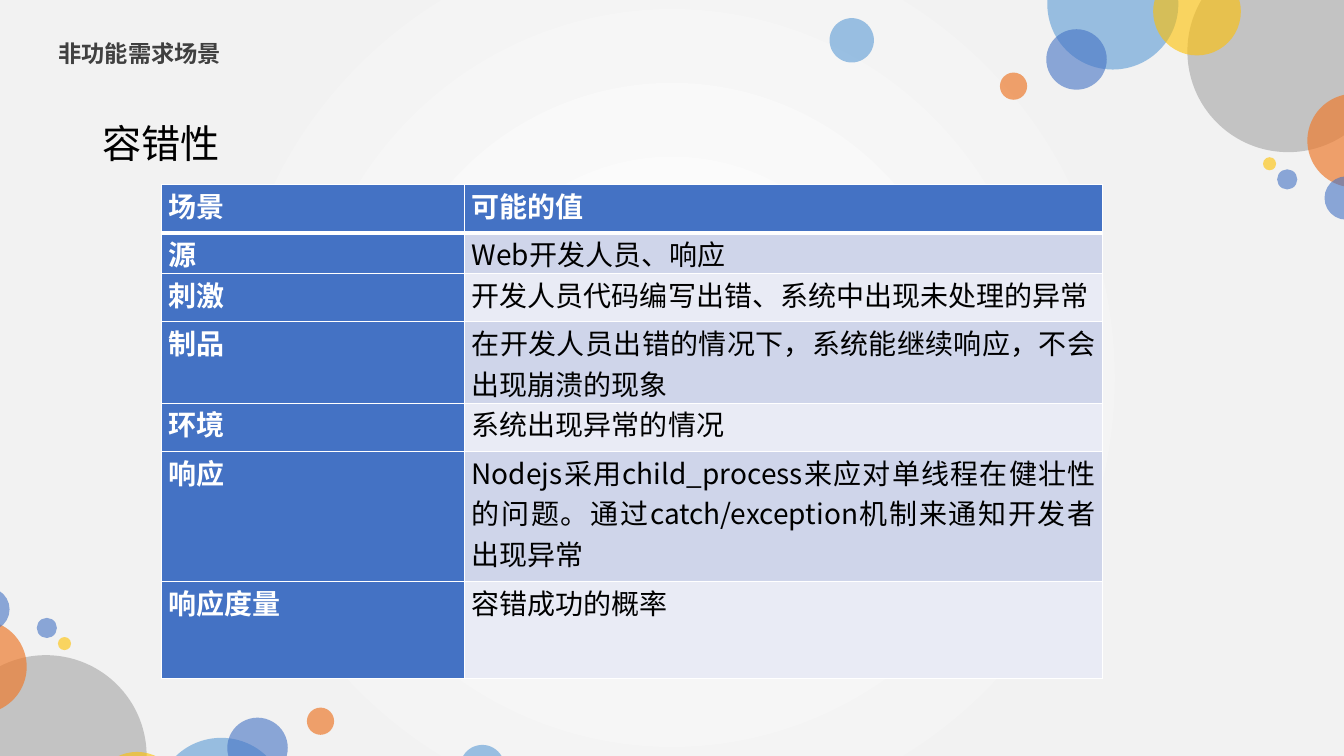
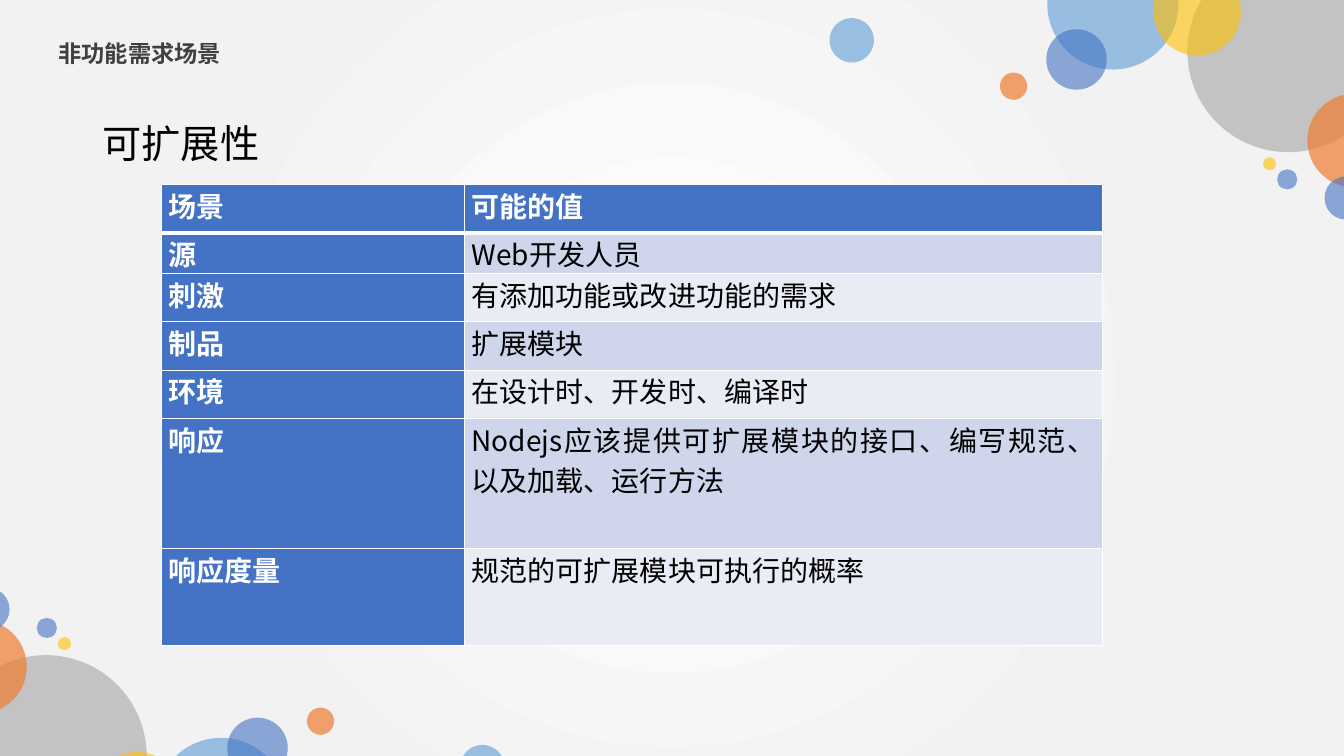
from lxml import etree
from pptx import Presentation
from pptx import util as u
from pptx.dml.color import RGBColor
from pptx.enum import shapes, text
from pptx.oxml import ns

UNIT = u.Inches(0.1)
COLS, ROWS = 133.33, 75
FACE = "Noto Sans CJK SC"

WHITE = RGBColor(0xFF, 0xFF, 0xFF)
BLACK = RGBColor(0, 0, 0)
PALE = RGBColor(0xF2, 0xF2, 0xF2)
DARK = RGBColor(0x40, 0x40, 0x40)
SKY = RGBColor(0x5B, 0x9B, 0xD5)
GRAY = RGBColor(0xA5, 0xA5, 0xA5)
GOLD = RGBColor(0xFF, 0xC0, 0)
BLUE = RGBColor(0x44, 0x72, 0xC4)
RUST = RGBColor(0xED, 0x7D, 0x31)
BANDS = (RGBColor(0xCF, 0xD5, 0xEA), RGBColor(0xE9, 0xEB, 0xF5))

TITLE = {"size": u.Pt(16.6), "bold": True}
TOPIC = {"size": u.Pt(28), "bold": False}
HEAD = {"size": u.Pt(20), "bold": True}
BODY = {"size": u.Pt(20), "bold": False}

BUBBLES = [
    (28.1, 6.5, 13, SKY, 60),
    (45.5, 11.2, 20, GRAY, 60),
    (36.45, 7.25, 8.7, GOLD, 60),
    (24.5, 12, 6, BLUE, 60),
    (52.05, 20.05, 9.3, RUST, 70),
    (18.25, 14.65, 2.7, RUST, 70),
    (51.25, 25.75, 4.3, BLUE, 60),
    (45.4, 23.9, 2, BLUE, 60),
    (43.65, 22.35, 1.3, GOLD, 60),
    (2.2, 10.1, 4.4, SKY, 60),
]
TOP = (82.3, -6.1, 56.7, 27.9)
FOOT = (-6.65, 58.3, 56.7, 27.9)

LABELS = ["场景", "源", "刺激", "制品", "环境", "响应", "响应度量"]
WIDE = [30.1, 63.3]
HIGH = [4.8, 3.2, 4.8, 4.8, 4.8, 12.9, 9.6]
SCENES = {
    "容错性": [
        "可能的值",
        "Web开发人员、响应",
        "开发人员代码编写出错、系统中出现未处理的异常",
        "在开发人员出错的情况下，系统能继续响应，不会出现崩溃的现象",
        "系统出现异常的情况",
        "Nodejs采用child_process来应对单线程在健壮性的问题。"
        "通过catch/exception机制来通知开发者出现异常",
        "容错成功的概率",
    ],
    "可扩展性": [
        "可能的值",
        "Web开发人员",
        "有添加功能或改进功能的需求",
        "扩展模块",
        "在设计时、开发时、编译时",
        "Nodejs应该提供可扩展模块的接口、编写规范、以及加载、运行方法",
        "规范的可扩展模块可执行的概率",
    ],
}


def span(*vals):
    """Turn grid units into slide lengths."""
    return [round(v * UNIT) for v in vals]


def apply(obj, vals):
    """Set each named attribute on an object."""
    for name, val in vals.items():
        setattr(obj, name, val)


def node(root, tag, **vals):
    """Add a drawing element with attributes."""
    return etree.SubElement(root, ns.qn(tag), {k: str(v) for k, v in vals.items()})


def write(frame, words, style, color, para):
    """Put one styled paragraph into a text frame."""
    line = frame.paragraphs[0]
    apply(line, para)
    run = line.add_run()
    run.text = words
    apply(run.font, {**style, "name": FACE})
    run.font.color.rgb = color
    node(run.font._element, "a:ea", typeface=FACE)


def backdrop(layout):
    """Fill the layout with a round white glow."""
    fill = layout.background.fill
    fill.gradient()
    for stop, color, pos in zip(fill.gradient_stops, (WHITE, PALE), (0, 0.67)):
        stop.color.rgb = color
        stop.position = pos
    lin = next(layout.element.iter(ns.qn("a:lin")))
    glow = etree.Element(ns.qn("a:path"), {"path": "circle"})
    node(glow, "a:fillToRect", l=50000, t=50000, r=50000, b=50000)
    lin.getparent().replace(lin, glow)


def cluster(slide, layout, box, flip):
    """Scatter see-through bubbles in a box of the layout."""
    left, top, wide, high = box
    for x, y, size, color, alpha in BUBBLES:
        if flip:
            x, y = wide - x, high - y
        place = span(left + x - size / 2, top + y - size / 2, size, size)
        dot = slide.shapes.add_shape(shapes.MSO_SHAPE.OVAL, *place)
        dot.shadow.inherit = False
        dot.fill.solid()
        dot.fill.fore_color.rgb = color
        dot.line.fill.background()
        tint = next(dot.element.iter(ns.qn("a:srgbClr")))
        node(tint, "a:alpha", val=alpha * 1000)
        tree = layout.shapes.element
        dot.element.nvSpPr.cNvPr.set("id", str(100 + len(tree)))
        tree.append(dot.element)


def label(shape, box, words, style, color, gap, anchor):
    """Place a one-line text in a box."""
    apply(shape, dict(zip(("left", "top", "width", "height"), span(*box))))
    frame = shape.text_frame
    apply(frame, {"word_wrap": True, "vertical_anchor": anchor,
                  "auto_size": text.MSO_AUTO_SIZE.NONE})
    para = {"alignment": text.PP_ALIGN.LEFT, "line_spacing": gap,
            "space_before": u.Pt(10)}
    write(frame, words, style, color, para)


def edge(cell, first):
    """Draw white cell borders, heavier under the header."""
    props = cell._tc.get_or_add_tcPr()
    for side in "LRTB":
        thick = 3 if (first and side == "B") else 1
        line = node(props, "a:ln" + side, w=u.Pt(thick))
        node(node(line, "a:solidFill"), "a:srgbClr", val=WHITE)


def grid(slide, box, values):
    """Build the scenario table in a box."""
    table = slide.shapes.add_table(len(LABELS), 2, *span(*box)).table
    for col, wide in zip(table.columns, span(*WIDE)):
        col.width = wide
    for i, pair in enumerate(zip(LABELS, values)):
        table.rows[i].height = span(HIGH[i])[0]
        for j, words in enumerate(pair):
            cell = table.cell(i, j)
            head = i == 0 or j == 0
            edge(cell, i == 0)
            cell.fill.solid()
            cell.fill.fore_color.rgb = BLUE if head else BANDS[(i - 1) % 2]
            pad = u.Inches(0.07)
            apply(cell, {"margin_left": pad, "margin_right": pad,
                         "margin_top": 0, "margin_bottom": 0})
            write(cell.text_frame, words, HEAD if head else BODY,
                  WHITE if head else BLACK,
                  {"alignment": text.PP_ALIGN.JUSTIFY})


def scene(slide, topic, values):
    """Fill a slide with title, topic and table."""
    label(slide.shapes.title, (4.8, 2.8, 37.2, 4.4), "非功能需求场景",
          TITLE, DARK, 1.2, text.MSO_ANCHOR.MIDDLE)
    box = (9.2, 11.9, 46.6, 6.5)
    note = slide.shapes.add_textbox(*span(*box))
    label(note, box, topic, TOPIC, BLACK, 0.9, text.MSO_ANCHOR.TOP)
    grid(slide, (16, 18.3, sum(WIDE), sum(HIGH)), values)


def main():
    """Build and save the deck."""
    deck = Presentation()
    deck.slide_width, deck.slide_height = span(COLS, ROWS)
    layout = deck.slide_layouts[5]
    backdrop(layout)
    for n, (topic, values) in enumerate(SCENES.items()):
        slide = deck.slides.add_slide(layout)
        if n == 0:
            cluster(slide, layout, TOP, False)
            cluster(slide, layout, FOOT, True)
        scene(slide, topic, values)
    deck.save("out.pptx")


main()
